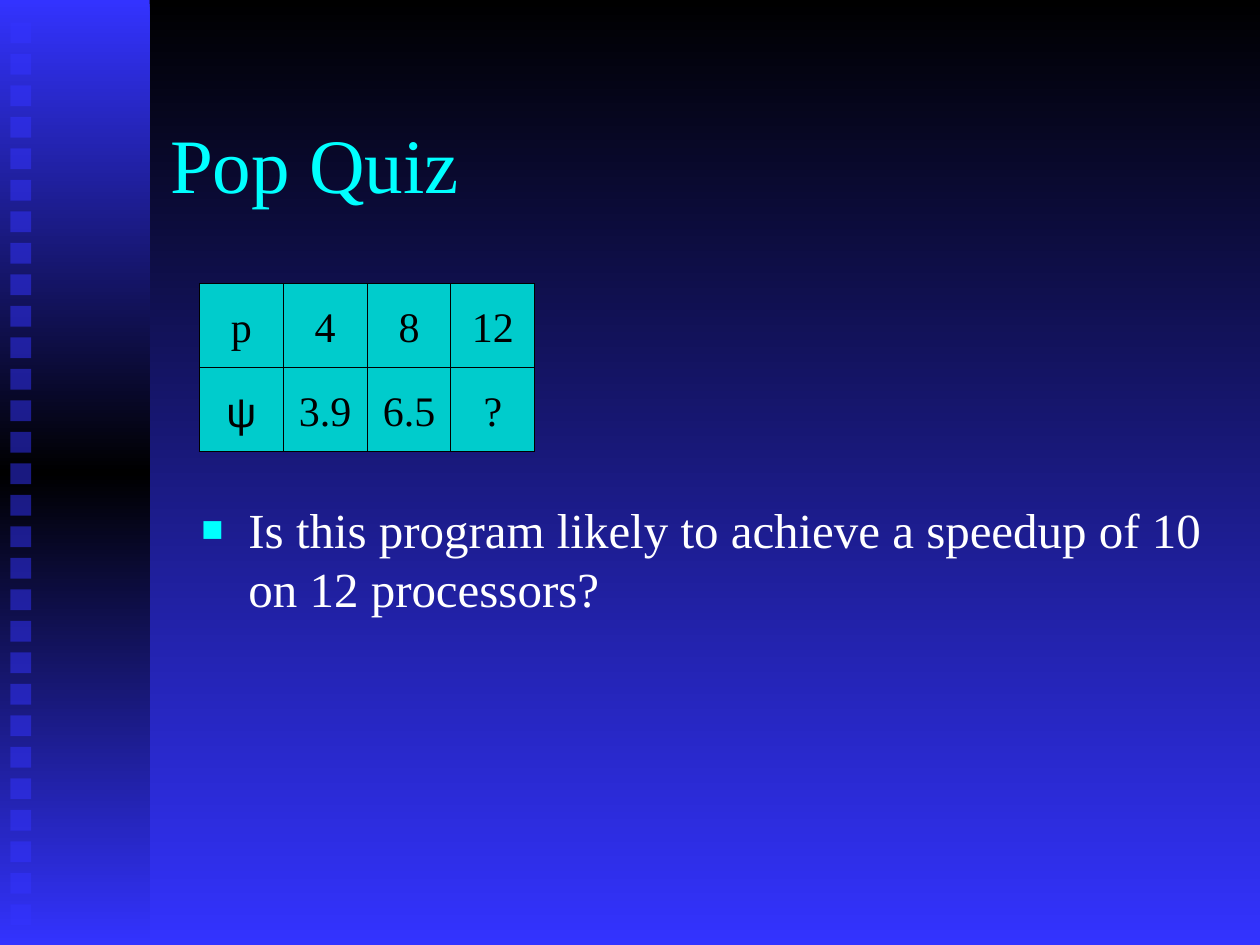
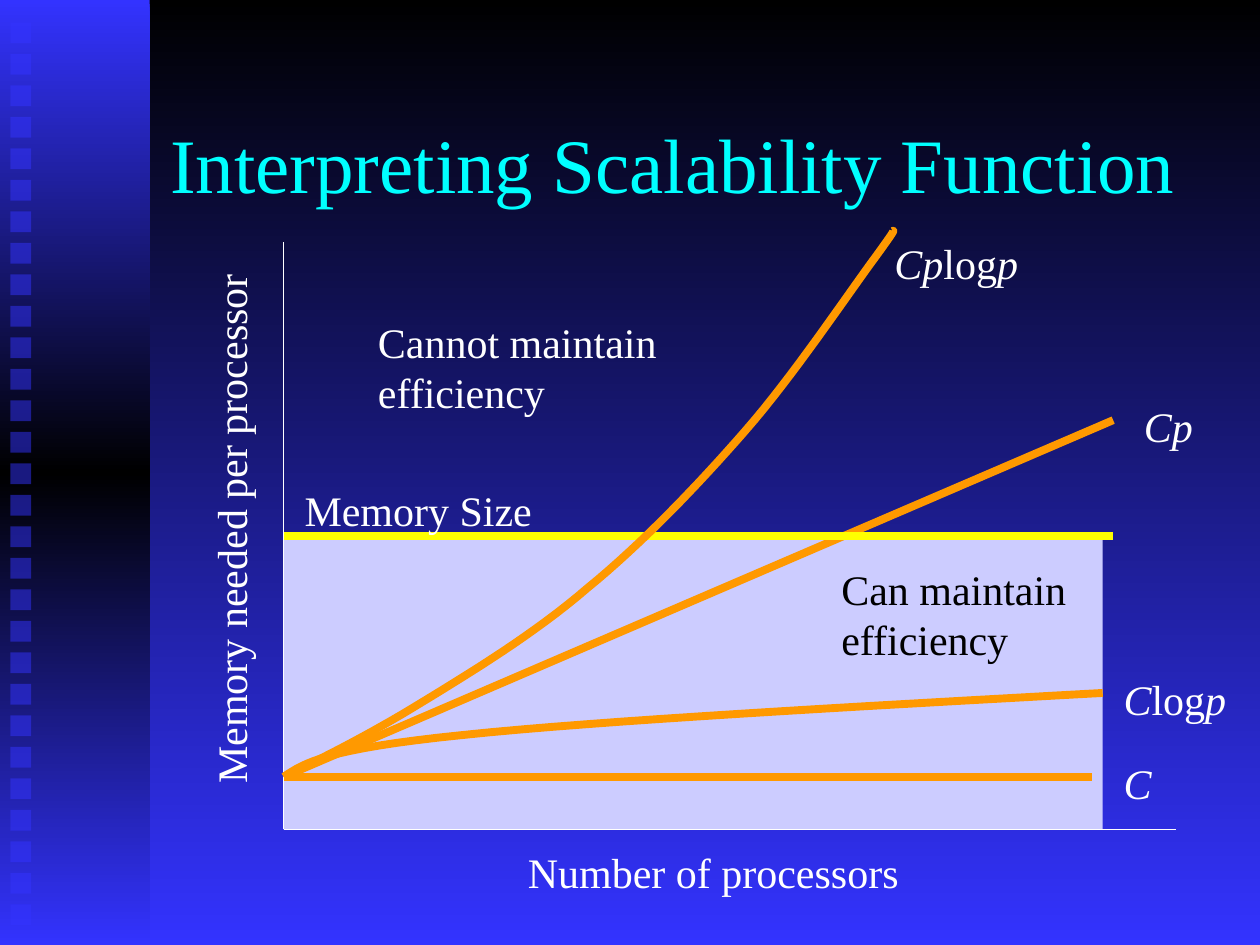
import copy

import pptx
import pptx.dml.color
import pptx.enum.dml
import pptx.enum.shapes
import pptx.enum.text
import pptx.oxml
import pptx.oxml.ns
import pptx.util

Cm = pptx.util.Cm
Pt = pptx.util.Pt
qn = pptx.oxml.ns.qn
RECTANGLE = pptx.enum.shapes.MSO_SHAPE.RECTANGLE
STRAIGHT = pptx.enum.shapes.MSO_CONNECTOR.STRAIGHT
MIDDLE = pptx.enum.text.MSO_ANCHOR.MIDDLE
NAMESPACE = pptx.oxml.ns.nsdecls("a")

BLACK, WHITE, BLUE, CYAN = "000000", "FFFFFF", "3333FF", "00FFFF"
TEAL, LAVENDER, ORANGE, YELLOW = "00CCCC", "CCCCFF", "FF9900", "FFFF00"
SERIF = "Times New Roman"
TITLE_FONT = {"name": SERIF, "size": Pt(44)}
BODY_FONT = {"name": SERIF, "size": Pt(28)}
LABEL_FONT = {"name": SERIF, "size": Pt(24)}
SYMBOL_FONT = {"name": "Arial", "size": Pt(24)}


def paint(color_format, color):
    color_format.rgb = pptx.dml.color.RGBColor.from_string(color)


def write(text_frame, text, font_values, color):
    """Write one paragraph per line; parts between asterisks are italic."""
    for row, line in enumerate(text.split("\n")):
        paragraph = text_frame.add_paragraph() if row else text_frame.paragraphs[0]
        for part, words in enumerate(line.split("*")):
            if words:
                run = paragraph.add_run()
                run.text = words
                for name, value in font_values.items():
                    setattr(run.font, name, value)
                run.font.italic = part % 2 == 1
                paint(run.font.color, color)


presentation = pptx.Presentation()
presentation.slide_width = Cm(25.4)
presentation.slide_height = Cm(19.05)

# Shared background, side band, squares and title
slides = []
for title in ("Pop Quiz", "Interpreting Scalability Function"):
    slide = presentation.slides.add_slide(presentation.slide_layouts[6])
    slides.append(slide)

    band = slide.shapes.add_shape(RECTANGLE, 0, 0, Cm(3.02), Cm(19.05))
    band.shadow.inherit = False
    band.line.fill.background()
    band.fill.gradient()
    stop_list = band._element.spPr.find(".//" + qn("a:gsLst"))
    stop_list.append(copy.deepcopy(stop_list[0]))
    slide.background.fill.gradient()
    for fill, colors in (
        (slide.background.fill, (BLACK, BLUE)),
        (band.fill, (BLUE, BLACK, BLUE)),
    ):
        fill.gradient_angle = 270
        for index, (stop, color) in enumerate(zip(fill.gradient_stops, colors)):
            stop.position = index / (len(colors) - 1)
            paint(stop.color, color)

    for index in range(29):
        top = 0.45 + 17.78 * index / 28
        square = slide.shapes.add_shape(RECTANGLE, Cm(0.21), Cm(top), Cm(0.42), Cm(0.42))
        square.shadow.inherit = False
        square.line.fill.background()
        square.fill.solid()
        paint(square.fill.fore_color, BLUE)
        square_color = square._element.spPr.find(".//" + qn("a:srgbClr"))
        square_color.append(pptx.oxml.parse_xml(f'<a:alpha {NAMESPACE} val="50000"/>'))

    title_box = slide.shapes.add_textbox(Cm(3.18), Cm(1.69), Cm(21.59), Cm(3.18))
    title_box.text_frame.word_wrap = True
    title_box.text_frame.vertical_anchor = MIDDLE
    write(title_box.text_frame, title, TITLE_FONT, CYAN)

quiz_slide, scalability_slide = slides

# Pop quiz: speedup table
speedups = (("p", "4", "8", "12"), ("ψ", "3.9", "6.5", "?"))
cell_size = 1.69
table = quiz_slide.shapes.add_table(
    2, 4, Cm(4.02), Cm(5.72), Cm(4 * cell_size), Cm(2 * cell_size)
).table
table.first_row = False
table.horz_banding = False
for row, values in enumerate(speedups):
    table.rows[row].height = Cm(cell_size)
    for column, value in enumerate(values):
        table.columns[column].width = Cm(cell_size)
        cell = table.cell(row, column)
        cell.margin_left = cell.margin_right = Cm(0.1)
        cell.margin_top = Cm(0.25)
        cell.vertical_anchor = MIDDLE
        properties = cell._tc.get_or_add_tcPr()
        for side in ("lnL", "lnR", "lnT", "lnB"):
            properties.append(pptx.oxml.parse_xml(
                f'<a:{side} {NAMESPACE} w="{Pt(0.75)}"><a:solidFill>'
                f'<a:srgbClr val="{BLACK}"/></a:solidFill></a:{side}>'
            ))
        cell.fill.solid()
        paint(cell.fill.fore_color, TEAL)
        write(cell.text_frame, value, SYMBOL_FONT if value == "ψ" else LABEL_FONT, BLACK)
        cell.text_frame.paragraphs[0].alignment = pptx.enum.text.PP_ALIGN.CENTER

# Pop quiz: question
question_box = quiz_slide.shapes.add_textbox(Cm(3.81), Cm(9.94), Cm(21.59), Cm(2.67))
question_box.text_frame.word_wrap = True
paragraph_properties = question_box.text_frame.paragraphs[0]._p.get_or_add_pPr()
paragraph_properties.set("marL", str(Cm(0.95)))
paragraph_properties.set("indent", str(Cm(-0.95)))
for bullet_part in (
    f'<a:buClr {NAMESPACE}><a:srgbClr val="{CYAN}"/></a:buClr>',
    f'<a:buSzPct {NAMESPACE} val="75000"/>',
    f'<a:buFont {NAMESPACE} typeface="{SERIF}"/>',
    f'<a:buChar {NAMESPACE} char="■"/>',
):
    paragraph_properties.append(pptx.oxml.parse_xml(bullet_part))
question = "Is this program likely to achieve a speedup of 10 on 12 processors?"
write(question_box.text_frame, question, BODY_FONT, WHITE)

# Scalability: area below the memory size
axis_x, axis_y = 5.72, 16.72
memory_y, start_y = 10.8, 15.66
maintainable = scalability_slide.shapes.add_shape(
    RECTANGLE, Cm(axis_x), Cm(memory_y), Cm(16.51), Cm(axis_y - memory_y)
)
maintainable.shadow.inherit = False
maintainable.line.fill.background()
maintainable.fill.solid()
paint(maintainable.fill.fore_color, LAVENDER)

# Scalability: axes, straight functions and memory limit
for start, end_x, end_y, color, width in (
    (axis_y, axis_x, 4.87, WHITE, 0.75),
    (axis_y, 23.71, axis_y, WHITE, 0.75),
    (start_y, 22.01, start_y, ORANGE, 4.5),
    (start_y, 22.44, 8.47, ORANGE, 4.5),
    (memory_y, 22.44, memory_y, YELLOW, 4.5),
):
    line = scalability_slide.shapes.add_connector(
        STRAIGHT, Cm(axis_x), Cm(start), Cm(end_x), Cm(end_y)
    )
    paint(line.line.color, color)
    line.line.width = Pt(width)
    line._element.spPr.append(pptx.oxml.parse_xml(f"<a:effectLst {NAMESPACE}/>"))

# Scalability: curved functions, as chains of Bézier control points
cplogp_curve = (
    (axis_x, start_y), (6.58, 15.24), (7.44, 14.81), (8.47, 14.18),
    (9.5, 13.55), (10.77, 12.78), (11.85, 11.85),
    (12.95, 10.95), (14.07, 9.78), (15.03, 8.68),
    (15.98, 7.59), (17.07, 5.97), (17.57, 5.29),
    (18.06, 4.62), (18.03, 4.64), (17.99, 4.66),
)
clogp_curve = (
    (axis_x, start_y), (6.14, 15.38), (6.56, 15.1), (9.31, 14.82),
    (12.07, 14.53), (17.15, 14.25), (22.23, 13.97),
)
steps = 16
for controls in (cplogp_curve, clogp_curve):
    points = []
    for first in range(0, len(controls) - 1, 3):
        for step in range(1, steps + 1):
            t = step / steps
            weights = ((1 - t) ** 3, 3 * t * (1 - t) ** 2, 3 * t * t * (1 - t), t ** 3)
            points.append(tuple(
                Cm(sum(w * point[axis] for w, point in zip(weights, controls[first:first + 4])))
                for axis in (0, 1)
            ))
    builder = scalability_slide.shapes.build_freeform(Cm(axis_x), Cm(start_y))
    builder.add_line_segments(points, close=False)
    curve = builder.convert_to_shape()
    curve.shadow.inherit = False
    curve.fill.background()
    paint(curve.line.color, ORANGE)
    curve.line.width = Pt(4.5)

# Scalability: labels, each with some spare width so that no line breaks
for text, left, top, width, height, color, rotation in (
    ("Number of processors", 10.39, 16.94, 8.4, 1.27, WHITE, 0),
    ("Memory needed per processor", -0.94, 9.83, 11.17, 1.27, WHITE, 270),
    ("*Cp*log*p*", 17.78, 4.66, 3.4, 1.27, WHITE, 0),
    ("*Cp*", 22.81, 7.95, 1.9, 1.27, WHITE, 0),
    ("*C*log*p*", 22.4, 13.46, 2.9, 1.27, WHITE, 0),
    ("*C*", 22.4, 15.14, 1.5, 1.27, WHITE, 0),
    ("Memory Size", 5.89, 9.65, 5.5, 1.27, WHITE, 0),
    ("Can maintain\nefficiency", 16.71, 11.23, 5.5, 2.29, BLACK, 0),
    ("Cannot maintain\nefficiency", 7.37, 6.25, 6.6, 2.29, WHITE, 0),
):
    label = scalability_slide.shapes.add_textbox(Cm(left), Cm(top), Cm(width), Cm(height))
    label.rotation = rotation
    label.text_frame.word_wrap = True
    write(label.text_frame, text, LABEL_FONT, color)

presentation.save("out.pptx")
